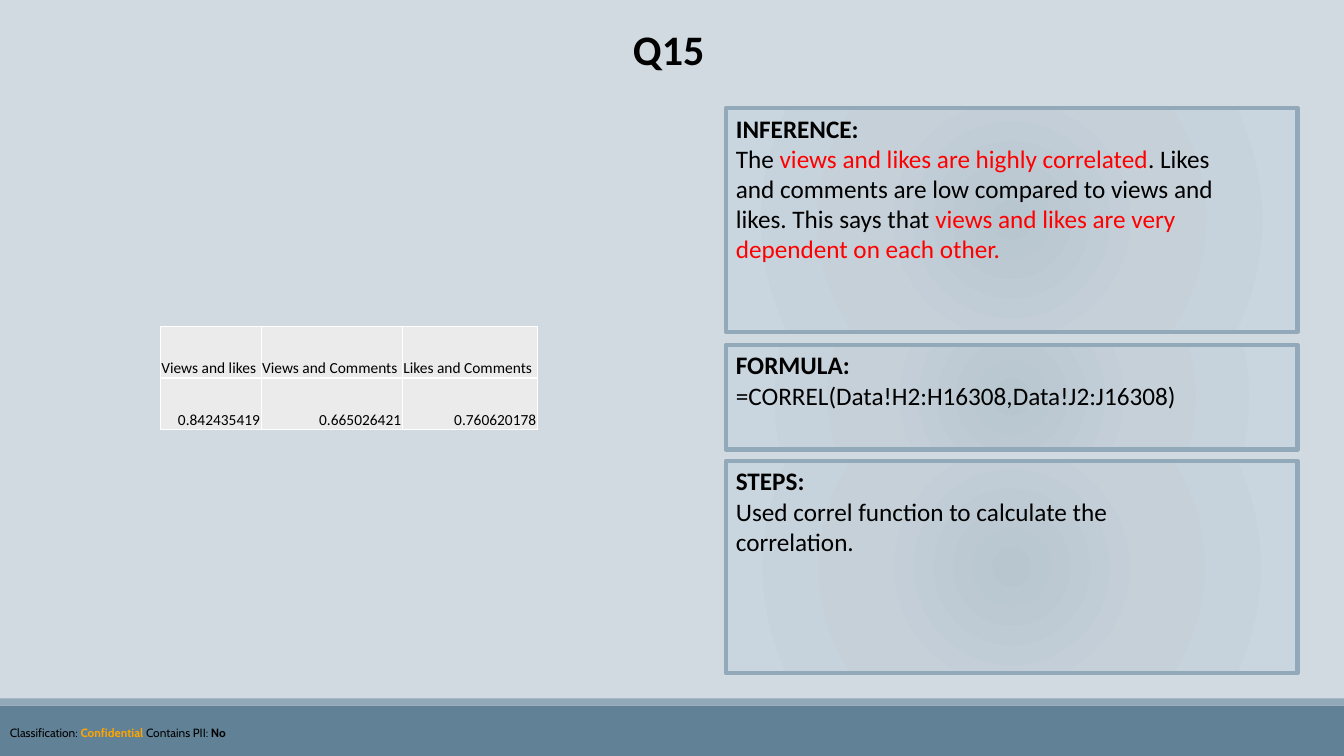
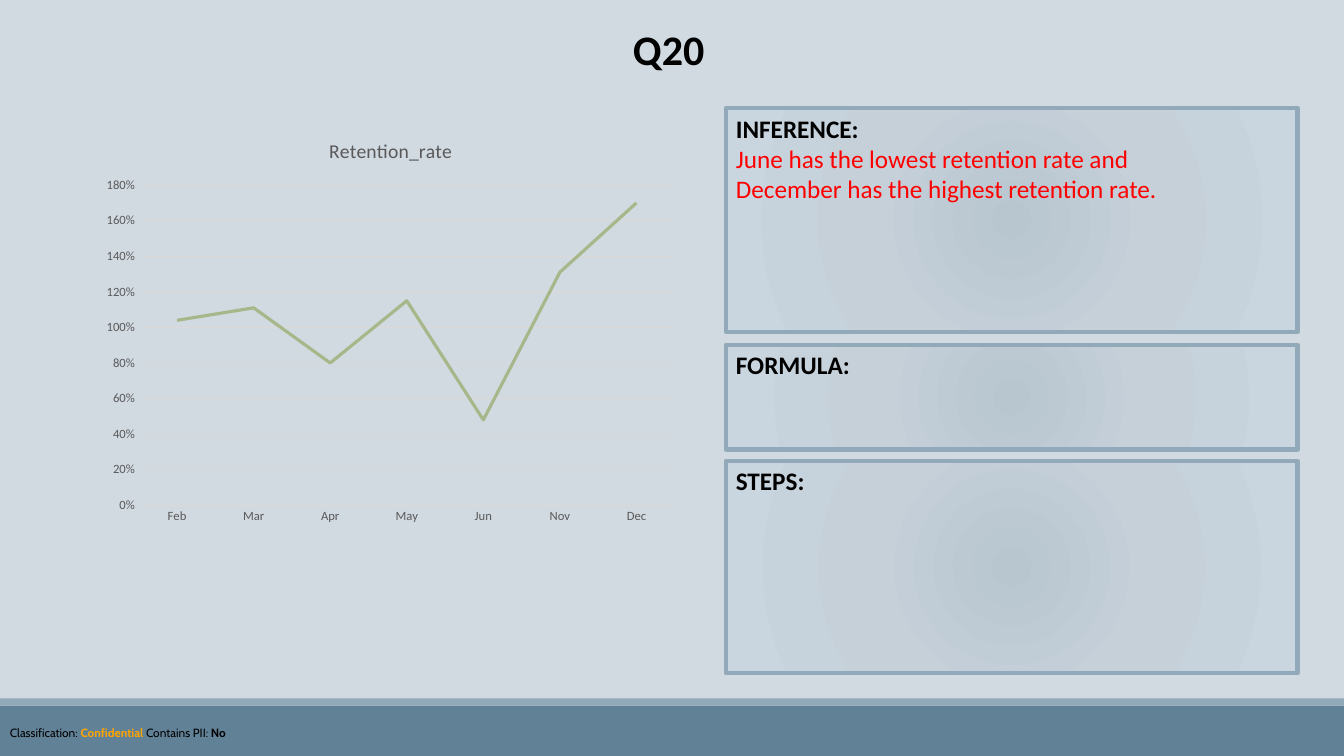
import pptx
import pptx.chart.data
import pptx.dml.color
import pptx.enum.chart
import pptx.enum.shapes
import pptx.enum.text
import pptx.oxml
import pptx.oxml.ns
import pptx.util

Inches = pptx.util.Inches
Pt = pptx.util.Pt
RGBColor = pptx.dml.color.RGBColor

# Shared style
BACKGROUND = RGBColor(0xD1, 0xD9, 0xE1)
BAND = RGBColor(0x61, 0x81, 0x97)
EDGE = RGBColor(0x92, 0xA9, 0xB9)
BLACK = RGBColor(0, 0, 0)
RED = RGBColor(0xFF, 0, 0)
ORANGE = RGBColor(0xFF, 0xA5, 0)
WHITE = RGBColor(0xFF, 0xFF, 0xFF)
CELL = RGBColor(0xEB, 0xEB, 0xEB)
GRID = RGBColor(0xD9, 0xD9, 0xD9)
GREY = RGBColor(0x59, 0x59, 0x59)
GREEN = RGBColor(0xA7, 0xB7, 0x89)
PANEL_STOPS = [(0, RGBColor(0xB8, 0xC6, 0xD0)), (45, RGBColor(0xC5, 0xD0, 0xD9)),
               (100, RGBColor(0xC9, 0xD6, 0xDF))]
FONT = "Calibri"
FOOTER_FONT = "Cabin"

SLIDE_W, SLIDE_H = 13.33, 7.5
PANEL_X, PANEL_W, PANEL_TEXT_W = 7.2, 5.67, 5.02
# heading, top, height
PANELS = [("INFERENCE:", 1.07, 2.22), ("FORMULA:", 3.42, 1.04), ("STEPS:", 4.57, 2.11)]


def style(font, size, color, bold=False, name=FONT):
    font.size, font.bold, font.name = Pt(size), bold, name
    font.color.rgb = color


def add_runs(p, runs, size, name=FONT):
    """Each run is (text, colour, bold)."""
    for text, color, bold in runs:
        r = p.add_run()
        r.text = text
        style(r.font, size, color, bold, name)


def add_text(s, x, y, w, h, paragraphs, size, name=FONT):
    tf = s.shapes.add_textbox(Inches(x), Inches(y), Inches(w), Inches(h)).text_frame
    tf.word_wrap = True
    for i, runs in enumerate(paragraphs):
        p = tf.add_paragraph() if i else tf.paragraphs[0]
        add_runs(p, runs, size, name)


def add_rect(s, x, y, w, h, color=None):
    sp = s.shapes.add_shape(pptx.enum.shapes.MSO_SHAPE.RECTANGLE,
                            Inches(x), Inches(y), Inches(w), Inches(h))
    sp.shadow.inherit = False
    sp.line.fill.background()
    if color is not None:
        sp.fill.solid()
        sp.fill.fore_color.rgb = color
    return sp


def fill_radial(sp, stops):
    """Circular gradient spreading from the centre of the shape."""
    sp.fill.background()
    stops_xml = "".join(f'<a:gs pos="{pos * 1000}"><a:srgbClr val="{color}"/></a:gs>'
                        for pos, color in stops)
    gradient = pptx.oxml.parse_xml(
        f'<a:gradFill {pptx.oxml.ns.nsdecls("a")} rotWithShape="1">'
        f'<a:gsLst>{stops_xml}</a:gsLst><a:path path="circle">'
        '<a:fillToRect l="100000" t="100000" r="100000" b="100000"/>'
        '</a:path></a:gradFill>')
    sp_pr = sp.element.spPr
    sp_pr.replace(sp_pr.find(pptx.oxml.ns.qn("a:noFill")), gradient)


def add_footer(s):
    add_rect(s, 0, 7, SLIDE_W, 0.5, BAND)
    add_rect(s, 0, 6.93, SLIDE_W, 0.07, EDGE)
    add_text(s, 0, 7.15, SLIDE_W, 0.24,
             [[("Classification: ", BLACK, False), ("Confidential", ORANGE, True),
               (" Contains PII: ", BLACK, False), ("No", BLACK, True)]],
             8.5, FOOTER_FONT)


def add_panel(s, heading, body, x, y, w, h):
    sp = add_rect(s, x, y, w, h)
    fill_radial(sp, PANEL_STOPS)
    sp.line.color.rgb = EDGE
    sp.line.width = Pt(3)
    paragraphs = [[(heading, BLACK, True)]]
    if body:
        paragraphs.append([(text, color, False) for text, color in body])
    add_text(s, x, y, PANEL_TEXT_W, h, paragraphs, 18)


def add_question_slide(prs, title, bodies):
    """Title, footer and the three answer panels; the left side stays free."""
    s = prs.slides.add_slide(prs.slide_layouts[6])
    s.background.fill.solid()
    s.background.fill.fore_color.rgb = BACKGROUND
    add_footer(s)
    add_text(s, 6.18, 0.18, 3.74, 0.61, [[(title, BLACK, True)]], 30)
    for (heading, y, h), body in zip(PANELS, bodies):
        add_panel(s, heading, body, PANEL_X, y, PANEL_W, h)
    return s


def set_borders(cell, color, width):
    tc_pr = cell._tc.get_or_add_tcPr()
    for i, side in enumerate(("lnL", "lnR", "lnT", "lnB")):
        tc_pr.insert(i, pptx.oxml.parse_xml(
            f'<a:{side} {pptx.oxml.ns.nsdecls("a")} w="{Pt(width)}"><a:solidFill>'
            f'<a:srgbClr val="{color}"/></a:solidFill></a:{side}>'))


def add_correlation_table(s, x, y, col_widths, row_h, rows):
    table = s.shapes.add_table(len(rows), len(col_widths), Inches(x), Inches(y),
                               Inches(sum(col_widths)), Inches(row_h * len(rows))).table
    for column, w in zip(table.columns, col_widths):
        column.width = Inches(w)
    for i, row in enumerate(rows):
        for j, text in enumerate(row):
            cell = table.cell(i, j)
            cell.fill.solid()
            cell.fill.fore_color.rgb = CELL
            set_borders(cell, WHITE, 1)
            cell.vertical_anchor = pptx.enum.text.MSO_ANCHOR.BOTTOM
            cell.margin_left = cell.margin_right = cell.margin_top = Inches(0.01)
            cell.margin_bottom = 0
            p = cell.text_frame.paragraphs[0]
            add_runs(p, [(text, BLACK, False)], 11)
            if i:
                p.alignment = pptx.enum.text.PP_ALIGN.RIGHT


def add_retention_chart(s, x, y, w, h, name, months, rates):
    data = pptx.chart.data.CategoryChartData(number_format="0%")
    data.categories = months
    data.add_series(name, rates)
    chart = s.shapes.add_chart(pptx.enum.chart.XL_CHART_TYPE.LINE, Inches(x), Inches(y),
                               Inches(w), Inches(h), data).chart
    style(chart.font, 10, BLACK)
    chart.has_legend = False
    chart.has_title = True
    chart.chart_title.include_in_layout = False
    tf = chart.chart_title.text_frame
    tf.text = name
    style(tf.paragraphs[0].runs[0].font, 14, GREY)

    # Line
    chart.plots[0].vary_by_categories = False
    series = chart.plots[0].series[0]
    series.smooth = False
    series.marker.style = pptx.enum.chart.XL_MARKER_STYLE.NONE
    series.format.line.color.rgb = GREEN
    series.format.line.width = Pt(2.25)

    # Axes
    months_axis, rate_axis = chart.category_axis, chart.value_axis
    for axis in (months_axis, rate_axis):
        axis.major_tick_mark = axis.minor_tick_mark = pptx.enum.chart.XL_TICK_MARK.NONE
        style(axis.tick_labels.font, 9, GREY)
    rate_axis.minimum_scale, rate_axis.maximum_scale, rate_axis.major_unit = 0, 1.8, 0.2
    rate_axis.tick_labels.number_format = "0%"
    rate_axis.tick_labels.number_format_is_linked = False
    rate_axis.format.line.fill.background()
    for line in (months_axis.format.line, rate_axis.major_gridlines.format.line):
        line.color.rgb = GRID
        line.width = Pt(0.75)


def main():
    prs = pptx.Presentation()
    prs.slide_width, prs.slide_height = Inches(SLIDE_W), Inches(SLIDE_H)

    # Correlation
    s = add_question_slide(prs, "Q15", [
        [("The ", BLACK), ("views and likes are highly correlated", RED),
         (". Likes and comments are low compared to views and likes. This says that ", BLACK),
         ("views and likes are very dependent on each other.", RED)],
        [("=CORREL(Data!H2:H16308,Data!J2:J16308)", BLACK)],
        [("Used correl function to calculate the correlation.", BLACK)]])
    add_correlation_table(s, 1.59, 3.24, [1, 1.4, 1.34], 0.51, [
        ["Views and likes", "Views and Comments", "Likes and Comments"],
        ["0.842435419", "0.665026421", "0.760620178"]])

    # Retention
    s = add_question_slide(prs, "Q20", [
        [("June has the lowest retention rate and December has the highest retention rate.",
          RED)],
        None, None])
    add_retention_chart(s, 0.94, 1.19, 5.87, 4.09, "Retention_rate",
                        ["Feb", "Mar", "Apr", "May", "Jun", "Nov", "Dec"],
                        [1.04, 1.11, 0.8, 1.15, 0.48, 1.31, 1.7])

    prs.save("out.pptx")


if __name__ == "__main__":
    main()
